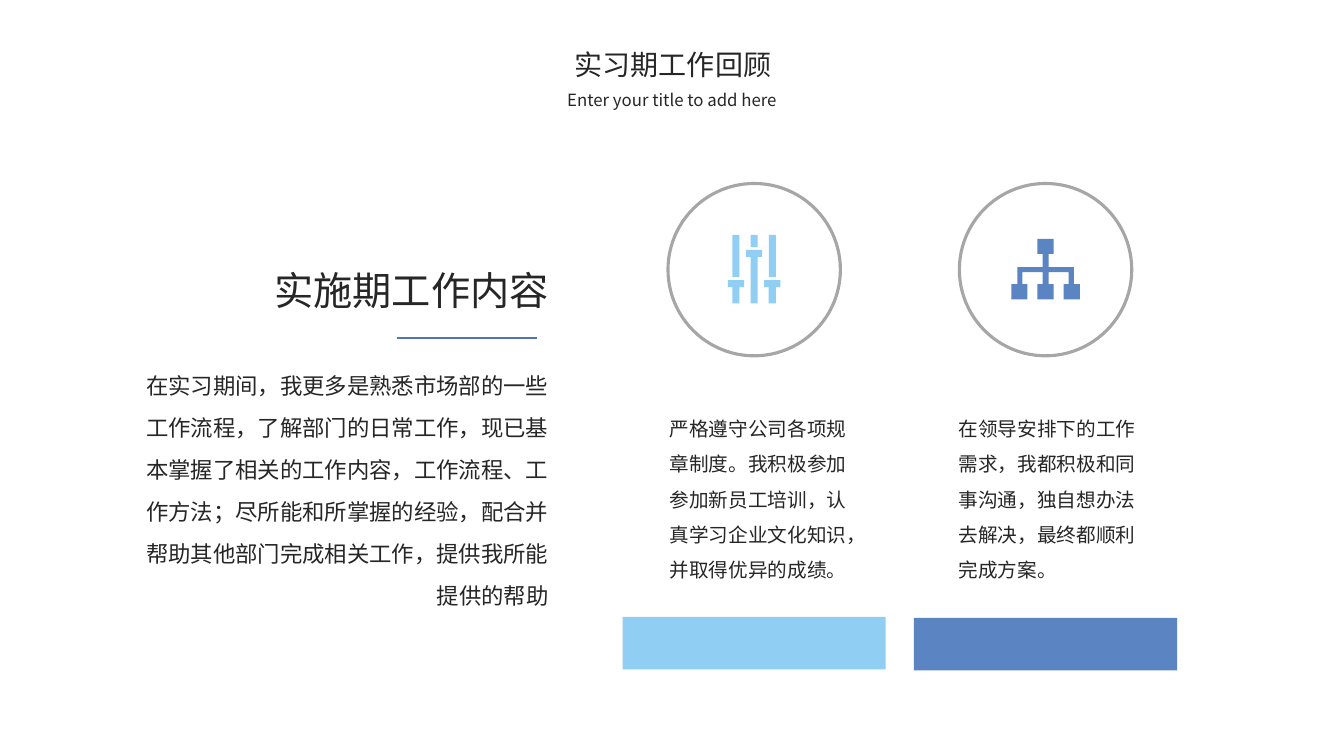
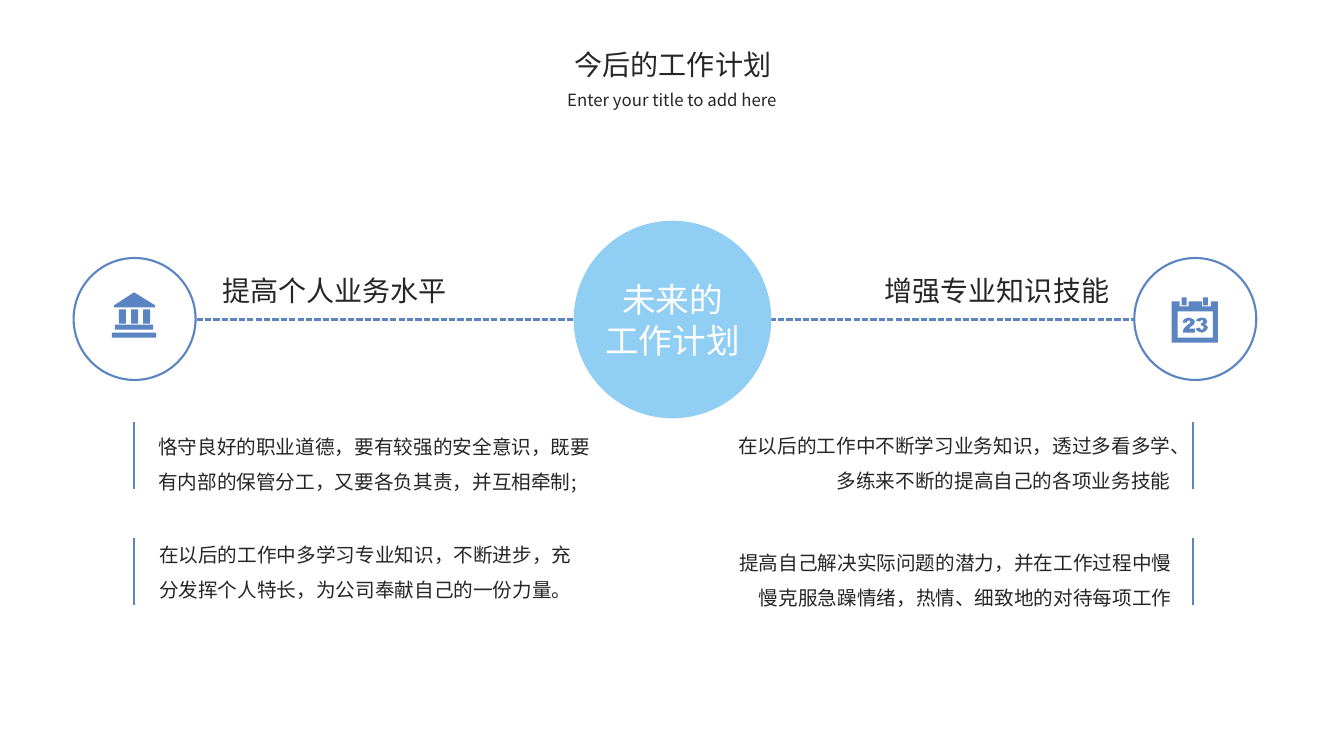
from dataclasses import dataclass

from lxml import etree
from pptx import Presentation
from pptx.dml.color import RGBColor
from pptx.enum.dml import MSO_LINE
from pptx.enum.shapes import MSO_CONNECTOR, MSO_SHAPE
from pptx.enum.text import MSO_ANCHOR, MSO_AUTO_SIZE, PP_ALIGN
from pptx.oxml.ns import qn
from pptx.util import Inches, Pt

LEFT, CENTER, RIGHT = PP_ALIGN.LEFT, PP_ALIGN.CENTER, PP_ALIGN.RIGHT
RECT, OVAL = MSO_SHAPE.RECTANGLE, MSO_SHAPE.OVAL
STRAIGHT = MSO_CONNECTOR.STRAIGHT
SYS_DASH = MSO_LINE.SQUARE_DOT
SECTION_LAYOUT = 2  # title plus an unbulleted body placeholder

Box = tuple[float, float, float, float]
Point = tuple[float, float]


# Theme
@dataclass(frozen=True)
class Theme:
    font: str = "Noto Sans CJK SC"
    ink: str = "262626"
    white: str = "FFFFFF"
    sky: str = "91CEF4"
    blue: str = "5B84C2"
    indigo: str = "5373B6"
    gray: str = "A6A6A6"
    small: int = 12
    body: int = 14
    lead: int = 16
    title: int = 20
    hub: int = 24
    heading: int = 28


T = Theme()


@dataclass(frozen=True)
class Column:
    """A task: icon ring, text and coloured bar around one centre line."""
    center: float
    text_left: float
    bar_top: float
    align: PP_ALIGN
    color: str
    text: str


@dataclass(frozen=True)
class Note:
    box: Box
    spacing: float | Pt
    text: str


@dataclass(frozen=True)
class Side:
    """One wing of the plan: ring, dashed link, heading and two notes."""
    ring_left: float
    link: Point
    heading_box: Box
    heading: str
    rule_x: float
    align: PP_ALIGN
    notes: tuple[Note, Note]


# Drawing helpers
def rgb(color: str) -> RGBColor:
    return RGBColor.from_string(color)


def write(sp, text: str, size: int, align=LEFT, spacing=None,
          color: str = T.ink) -> None:
    tf = sp.text_frame
    tf.text = text
    tf.word_wrap = True
    tf.auto_size = MSO_AUTO_SIZE.NONE
    for p in tf.paragraphs:
        p.alignment = align
        p.space_before = Pt(0)
        if spacing is not None:
            p.line_spacing = spacing
        for r in p.runs:
            r.font.size = Pt(size)
            r.font.bold = False
            r.font.color.rgb = rgb(color)
            r.font.name = T.font
            ea = etree.SubElement(r.font._element, qn("a:ea"))
            ea.set("typeface", T.font)


def add_text(slide, box: Box, text: str, size: int, **style) -> None:
    write(slide.shapes.add_textbox(*map(Inches, box)), text, size, **style)


def paint(sp, fill: str | None, line: str | None = None, width: float = 0) -> None:
    sp.shadow.inherit = False
    if fill:
        sp.fill.solid()
        sp.fill.fore_color.rgb = rgb(fill)
    else:
        sp.fill.background()
    if line:
        sp.line.color.rgb = rgb(line)
        sp.line.width = Pt(width)
    else:
        sp.line.fill.background()


def add_shape(slide, kind, box: Box, fill: str | None,
              line: str | None = None, width: float = 0):
    sp = slide.shapes.add_shape(kind, *map(Inches, box))
    paint(sp, fill, line, width)
    return sp


def add_rects(slide, boxes: list[Box], color: str) -> None:
    for box in boxes:
        add_shape(slide, RECT, box, color)


def add_outline(slide, contours: list[list[Point]], color: str) -> None:
    paths = [[(Inches(x), Inches(y)) for x, y in c] for c in contours]
    fb = slide.shapes.build_freeform(*paths[0][0], scale=1.0)
    fb.add_line_segments(paths[0][1:], close=True)
    for path in paths[1:]:
        fb.move_to(*path[0])
        fb.add_line_segments(path[1:], close=True)
    paint(fb.convert_to_shape(), color)


def add_line(slide, start: Point, end: Point, color: str, dash=None) -> None:
    cn = slide.shapes.add_connector(STRAIGHT, *map(Inches, start + end))
    cn.line.color.rgb = rgb(color)
    cn.line.width = Pt(1.5)
    if dash is not None:
        cn.line.dash_style = dash
    etree.SubElement(cn._element.spPr, qn("a:effectLst"))


def add_slide(prs, title: str):
    slide = prs.slides.add_slide(prs.slide_layouts[SECTION_LAYOUT])
    heads = ((title, (5.47, 0.42, 2.41, 0.44), T.title),
             ("Enter your title to add here", (5.32, 0.84, 2.69, 0.3), T.small))
    for sp, (text, box, size) in zip(slide.placeholders, heads):
        sp.left, sp.top, sp.width, sp.height = map(Inches, box)
        write(sp, text, size, align=CENTER)
        sp.text_frame.vertical_anchor = MSO_ANCHOR.TOP
    return slide


# Icons
def draw_sliders(slide, color: str) -> None:
    top, bottom, stem, knob = 2.33, 3.01, 0.07, 0.16
    for center, knob_top in ((7.3, 2.78), (7.48, 2.48), (7.66, 2.78)):
        l, r = center - stem / 2, center + stem / 2
        kl, kr, kb = center - knob / 2, center + knob / 2, knob_top + 0.07
        add_rects(slide, [(l, top, stem, knob_top - 0.03 - top)], color)
        add_outline(slide, [[(kl, knob_top), (kr, knob_top), (kr, kb), (r, kb),
                             (r, bottom), (l, bottom), (l, kb), (kl, kb)]], color)


def draw_org_chart(slide, color: str) -> None:
    # Right half from the top node down, then mirrored
    center = 10.37
    half = [(0.08, 2.37), (0.08, 2.52), (0.03, 2.52), (0.03, 2.65),
            (0.28, 2.65), (0.28, 2.82), (0.34, 2.82), (0.34, 2.97),
            (0.18, 2.97), (0.18, 2.82), (0.23, 2.82), (0.23, 2.7),
            (0.03, 2.7), (0.03, 2.82), (0.08, 2.82), (0.08, 2.97)]
    right = [(center + dx, y) for dx, y in half]
    left = [(center - dx, y) for dx, y in reversed(half)]
    add_outline(slide, [right + left], color)


def draw_bank(slide, color: str) -> None:
    add_outline(slide, [[(1.13, 3.03), (1.33, 2.9), (1.54, 3.03),
                         (1.54, 3.05), (1.13, 3.05)]], color)
    pillars = [(1.18 + 0.12 * i, 3.07, 0.07, 0.14) for i in range(3)]
    steps = [(1.14, 3.22, 0.38, 0.05), (1.11, 3.3, 0.44, 0.05)]
    add_rects(slide, pillars + steps, color)


def draw_calendar(slide, color: str) -> None:
    add_rects(slide, [(x, 2.95, 0.05, 0.08) for x in (11.72, 11.93)], color)
    frame = [(11.62, 2.99), (11.7, 2.99), (11.7, 3.04), (11.79, 3.04),
             (11.79, 2.99), (11.92, 2.99), (11.92, 3.04), (12.01, 3.04),
             (12.01, 2.99), (12.08, 2.99), (12.08, 3.4), (11.62, 3.4)]
    page = [(11.68, 3.09), (11.68, 3.35), (12.03, 3.35), (12.03, 3.09)]
    two = [(11.78, 3.22), (11.74, 3.26), (11.73, 3.3), (11.85, 3.3),
           (11.85, 3.26), (11.79, 3.26), (11.81, 3.24), (11.84, 3.22),
           (11.85, 3.19), (11.84, 3.17), (11.82, 3.16), (11.79, 3.15),
           (11.76, 3.16), (11.74, 3.17), (11.73, 3.2), (11.77, 3.2),
           (11.78, 3.18), (11.8, 3.18), (11.81, 3.19), (11.8, 3.21)]
    three = [(11.92, 3.27), (11.91, 3.27), (11.9, 3.25), (11.86, 3.26),
             (11.87, 3.28), (11.89, 3.29), (11.92, 3.3), (11.95, 3.29),
             (11.97, 3.27), (11.98, 3.25), (11.97, 3.23), (11.95, 3.22),
             (11.97, 3.2), (11.97, 3.18), (11.96, 3.16), (11.92, 3.15),
             (11.88, 3.16), (11.86, 3.18), (11.9, 3.19), (11.91, 3.18),
             (11.92, 3.17), (11.93, 3.18), (11.93, 3.2), (11.91, 3.21),
             (11.91, 3.23), (11.93, 3.23), (11.94, 3.25), (11.93, 3.27)]
    for contours in ([frame, page], [two], [three]):
        add_outline(slide, contours, color)


# Slide content
COLUMNS = (
    Column(7.48, 6.54, 6.12, CENTER, T.sky,
           "严格遵守公司各项规章制度。我积极参加参加新员工培训，认真学习企业文化知识，并取得优异的成绩。"),
    Column(10.37, 9.41, 6.13, LEFT, T.blue,
           "在领导安排下的工作需求，我都积极和同事沟通，独自想办法去解决，最终都顺利完成方案。"),
)

SIDES = (
    Side(0.73, (1.95, 6.08), (2.11, 2.66, 2.51, 0.44), "提高个人业务水平", 1.33, LEFT, (
        Note((1.47, 4.15, 4.58, 0.76), Pt(25),
             "恪守良好的职业道德，要有较强的安全意识，既要有内部的保管分工，又要各负其责，并互相牵制;"),
        Note((1.48, 5.22, 4.44, 0.76), Pt(25),
             "在以后的工作中多学习专业知识，不断进步，充分发挥个人特长，为公司奉献自己的一份力量。"))),
    Side(11.25, (7.13, 11.26), (8.25, 2.66, 2.85, 0.44), "增强专业知识技能", 11.83, RIGHT, (
        Note((7.19, 4.14, 4.52, 0.77), 1.5,
             "在以后的工作中不断学习业务知识，透过多看多学、多练来不断的提高自己的各项业务技能"),
        Note((7.07, 5.3, 4.65, 0.77), 1.5,
             "提高自己解决实际问题的潜力，并在工作过程中慢慢克服急躁情绪，热情、细致地的对待每项工作"))),
)


def build_review(prs) -> None:
    slide = add_slide(prs, "实习期工作回顾")
    # Summary on the left
    add_text(slide, (2.34, 2.59, 3.2, 0.57), "实施期工作内容", T.heading, align=RIGHT)
    add_line(slide, (3.94, 3.35), (5.33, 3.35), T.indigo)
    add_text(slide, (1.16, 3.49, 4.38, 2.63),
             "在实习期间，我更多是熟悉市场部的一些工作流程，了解部门的日常工作，"
             "现已基本掌握了相关的工作内容，工作流程、工作方法；尽所能和所掌握的经验，"
             "配合并帮助其他部门完成相关工作，提供我所能提供的帮助",
             T.lead, align=RIGHT, spacing=Pt(30))
    # Task columns
    ring, bar = 1.71, 2.61
    for col in COLUMNS:
        add_shape(slide, RECT, (col.center - bar / 2, col.bar_top, bar, 0.52), col.color)
        add_shape(slide, OVAL, (col.center - ring / 2, 1.82, ring, ring),
                  T.white, T.gray, 2.25)
        add_text(slide, (col.text_left, 3.97, 1.96, 2.22), col.text, T.body,
                 align=col.align, spacing=1.5)
    draw_sliders(slide, T.sky)
    draw_org_chart(slide, T.blue)


def build_plan(prs) -> None:
    slide = add_slide(prs, "今后的工作计划")
    # Wings
    for side in SIDES:
        x1, x2 = side.link
        add_line(slide, (x1, 3.17), (x2, 3.17), T.blue, SYS_DASH)
        add_shape(slide, OVAL, (side.ring_left, 2.56, 1.21, 1.21), None, T.blue, 1.5)
        add_text(slide, side.heading_box, side.heading, T.title, align=side.align)
        for top, note in zip((4.19, 5.34), side.notes):
            add_line(slide, (side.rule_x, top), (side.rule_x, top + 0.66), T.blue)
            add_text(slide, note.box, note.text, T.body,
                     align=side.align, spacing=note.spacing)
    # Hub
    hub = add_shape(slide, OVAL, (5.69, 2.19, 1.96, 1.96), T.sky)
    write(hub, "未来的\n工作计划", T.hub, align=CENTER, spacing=Pt(28.8), color=T.white)
    hub.text_frame.word_wrap = False
    hub.text_frame.vertical_anchor = MSO_ANCHOR.MIDDLE
    draw_bank(slide, T.blue)
    draw_calendar(slide, T.blue)


def main() -> None:
    prs = Presentation()
    prs.slide_width, prs.slide_height = Inches(13.33), Inches(7.5)
    build_review(prs)
    build_plan(prs)
    prs.save("out.pptx")


if __name__ == "__main__":
    main()
